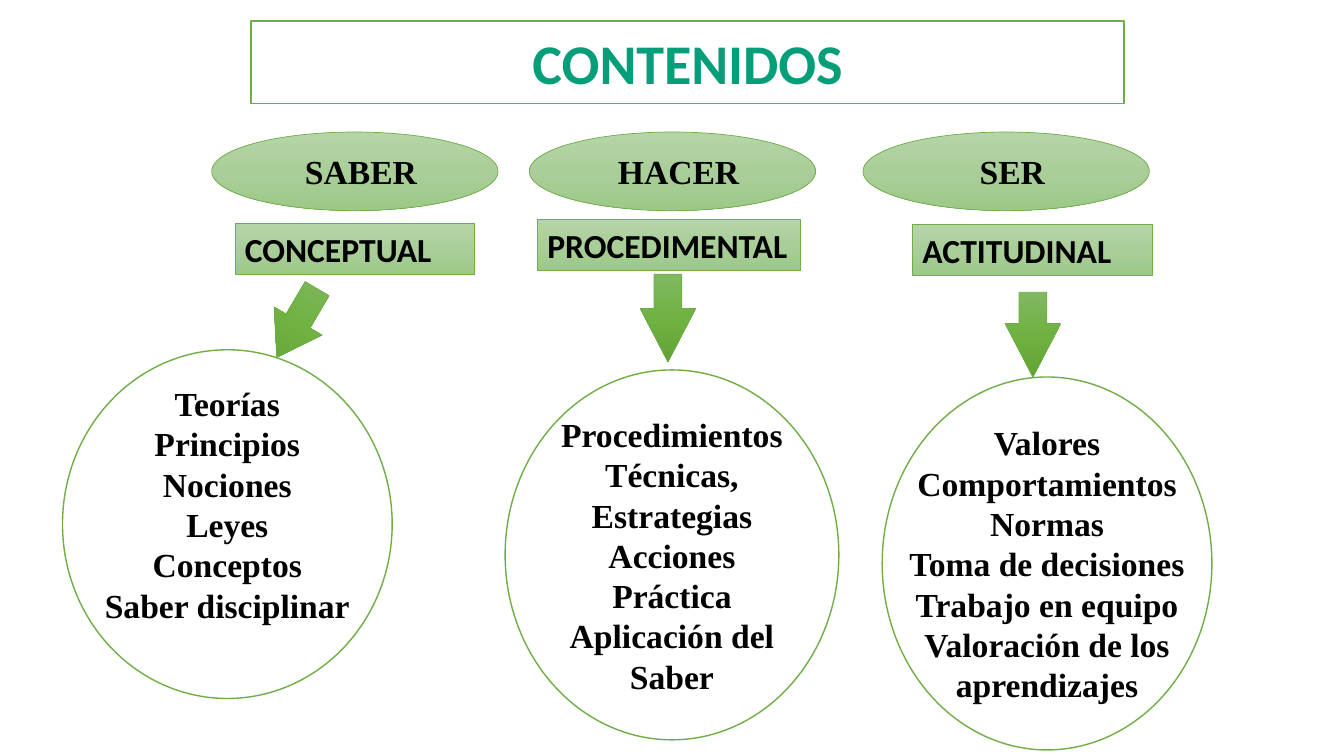
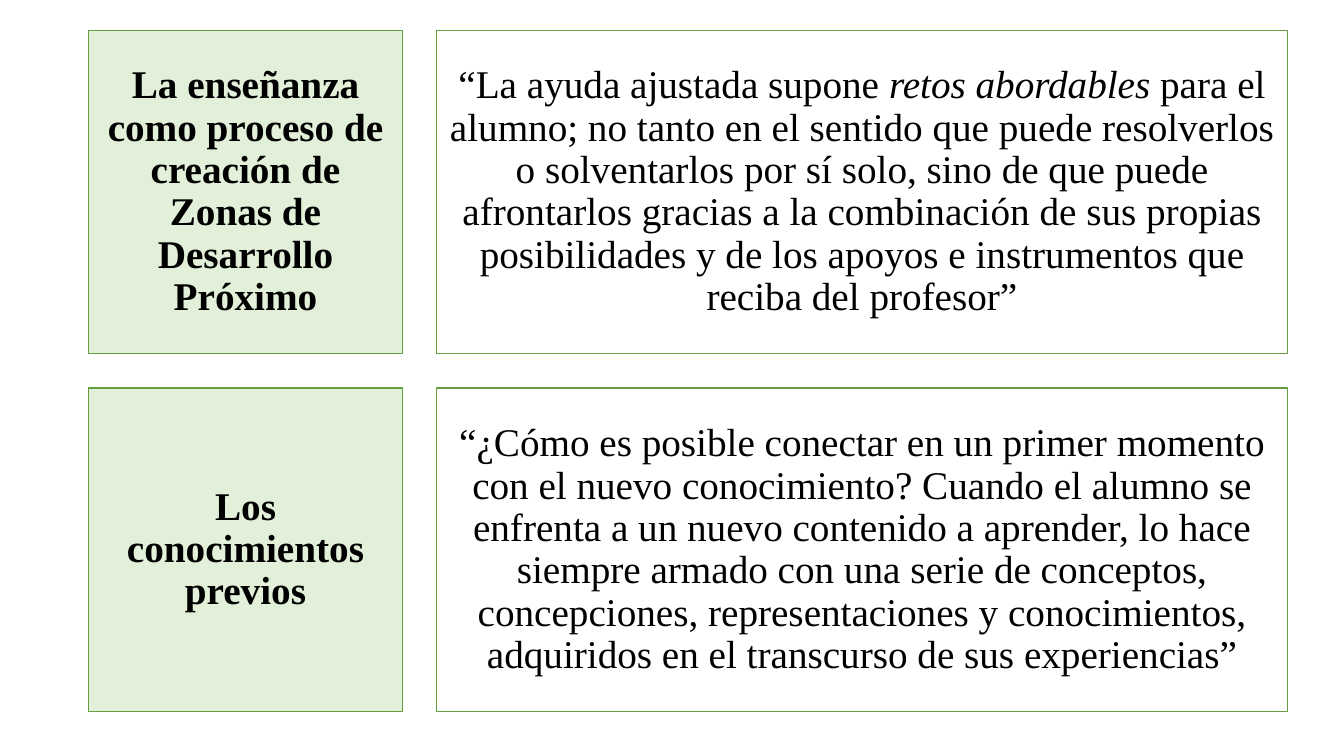
"""Two slides on learning contents: a three-column diagram and two quoted ideas."""
from copy import deepcopy
from dataclasses import dataclass

from pptx import Presentation
from pptx import util as u
from pptx.dml.color import RGBColor
from pptx.enum import shapes, text
from pptx.oxml.ns import qn

KIND = shapes.MSO_SHAPE
ALIGN = text.PP_ALIGN


@dataclass(frozen=True)
class Theme:
    """Colours, fonts and type sizes of both slides."""
    white: str = "FFFFFF"
    black: str = "000000"
    title: str = "049E79"
    line: str = "70AD47"
    edge: str = "669D40"
    pale: str = "E2F0D9"
    soft: tuple = ("B5D5A7", "AACE9A", "9CC987")
    deep: tuple = ("81B861", "6FB242", "62A336")
    sans: str = "Calibri"
    serif: str = "Times New Roman"
    head: int = 40
    body: int = 24
    quote: int = 28


T = Theme()

TITLE = "CONTENIDOS"
COLUMNS = [
    {"know": "SABER", "oval": 2.1, "type": "CONCEPTUAL", "label": (2.33, 2.22, 2.38, 0.5),
     "arrow": (2.67, 2.81, 0.55, 0.79), "turn": 30.4, "tip": 0.76,
     "ring": (0.62, 3.47, 3.27, 3.46), "foot": 0.45,
     "items": ["Teorías", "Principios", "Nociones", "Leyes", "Conceptos",
               "Saber disciplinar"]},
    {"know": "HACER", "oval": 5.25, "type": "PROCEDIMENTAL", "label": (5.33, 2.18, 2.61, 0.5),
     "arrow": (6.35, 2.72, 0.55, 0.87), "turn": 0, "tip": 0.96,
     "ring": (5.01, 3.67, 3.31, 3.67), "foot": 0.05,
     "items": ["Procedimientos", "Técnicas,", "Estrategias", "Acciones", "Práctica",
               "Aplicación del", "Saber"]},
    {"know": "SER", "oval": 8.56, "type": "ACTITUDINAL", "label": (9.05, 2.23, 2.38, 0.5),
     "arrow": (9.97, 2.9, 0.55, 0.84), "turn": 0, "tip": 0.96,
     "ring": (8.75, 3.74, 3.27, 3.7), "foot": 0.05,
     "items": ["Valores", "Comportamientos", "Normas", "Toma de decisiones",
               "Trabajo en equipo", "Valoración de los", "aprendizajes"]},
]
IDEAS = [
    ("La enseñanza como proceso de creación de Zonas de Desarrollo Próximo",
     ["“La ayuda ajustada supone ", "retos abordables",
      " para el alumno; no tanto en el sentido que puede resolverlos o solventarlos por sí "
      "solo, sino de que puede afrontarlos gracias a la combinación de sus propias "
      "posibilidades y de los apoyos e instrumentos que reciba del profesor”"]),
    ("Los conocimientos previos",
     ["“¿Cómo es posible conectar en un primer momento con el nuevo conocimiento? Cuando el "
      "alumno se enfrenta a un nuevo contenido a aprender, lo hace siempre armado con una "
      "serie de conceptos, concepciones, representaciones y conocimientos, adquiridos en el "
      "transcurso de sus experiencias”"]),
]


def paint(form, fill):
    """Fill with one colour, or with three from top to bottom."""
    if isinstance(fill, str):
        form.fill.solid()
        form.fill.fore_color.rgb = RGBColor.from_string(fill)
        return
    form.fill.gradient()
    form.fill.gradient_angle = 270
    stops = form._element.spPr.find(qn("a:gradFill")).find(qn("a:gsLst"))
    stops.insert(1, deepcopy(stops[0]))
    for stop, place, tone in zip(form.fill.gradient_stops, (0, 0.5, 1), fill):
        stop.position = place
        stop.color.rgb = RGBColor.from_string(tone)


def draw(slide, kind, box, fill, line=T.line, width=1):
    """Add a flat shape with a thin outline."""
    form = slide.shapes.add_shape(kind, *map(u.Inches, box))
    form.shadow.inherit = False
    paint(form, fill)
    form.line.color.rgb = RGBColor.from_string(line)
    form.line.width = u.Pt(width)
    return form


def write(form, lines, size, face=T.serif, tone=T.black, bold=True, align=ALIGN.CENTER,
          wrap=False, pads=(0.1, 0.05, 0.1, 0.05), pitch=None):
    """Set each line, a list of runs, as one paragraph; every second run is italic."""
    frame = form.text_frame
    frame.word_wrap = wrap
    frame.vertical_anchor = text.MSO_ANCHOR.MIDDLE
    (frame.margin_left, frame.margin_top,
     frame.margin_right, frame.margin_bottom) = map(u.Inches, pads)
    for rank, parts in enumerate(lines):
        para = frame.add_paragraph() if rank else frame.paragraphs[0]
        para.alignment = align
        para.line_spacing = pitch
        for spot, part in enumerate(parts):
            run = para.add_run()
            run.text = part
            run.font.name, run.font.size = face, u.Pt(size)
            run.font.bold, run.font.italic = bold, spot % 2 == 1
            run.font.color.rgb = RGBColor.from_string(tone)


def contents(slide):
    """Draw the title and the three columns of contents."""
    for col in COLUMNS:
        arrow = draw(slide, KIND.DOWN_ARROW, col["arrow"], T.deep, width=0.5)
        arrow.rotation = col["turn"]
        arrow.adjustments[0], arrow.adjustments[1] = 0.5, col["tip"]
        ring = draw(slide, KIND.OVAL, col["ring"], T.white)
        write(ring, [[item] for item in col["items"]], T.body,
              pads=(0.1, 0.05, 0.1, col["foot"]))
        oval = draw(slide, KIND.OVAL, (col["oval"], 1.31, 2.84, 0.78), T.soft, width=0.5)
        write(oval, [[col["know"]]], T.body, pads=(0.22, 0.05, 0.1, 0.05))
        label = draw(slide, KIND.RECTANGLE, col["label"], T.soft, width=0.5)
        write(label, [[col["type"]]], T.body, T.sans, align=ALIGN.LEFT, wrap=True)
    title = draw(slide, KIND.RECTANGLE, (2.49, 0.21, 8.66, 0.82), T.white)
    write(title, [[TITLE]], T.head, T.sans, T.title)


def ideas(slide):
    """Draw each idea beside its quotation."""
    left, top, high, gap = 0.88, 0.3, 3.21, 0.34
    name, quote = 3.11, 8.44
    for row, (idea, parts) in enumerate(IDEAS):
        y = top + row * (high + gap)
        cells = [(left, name, T.pale, [idea], True),
                 (left + name + gap, quote, T.white, parts, False)]
        for x, wide, fill, runs, bold in cells:
            card = draw(slide, KIND.RECTANGLE, (x, y, wide, high), fill, T.edge)
            write(card, [runs], T.quote, bold=bold, wrap=True, pads=(0.12,) * 4, pitch=0.9)


def main():
    """Build and save both slides."""
    deck = Presentation()
    deck.slide_width, deck.slide_height = u.Inches(13.33), u.Inches(7.5)
    for build in (contents, ideas):
        build(deck.slides.add_slide(deck.slide_layouts[6]))
    deck.save("out.pptx")


if __name__ == "__main__":
    main()
